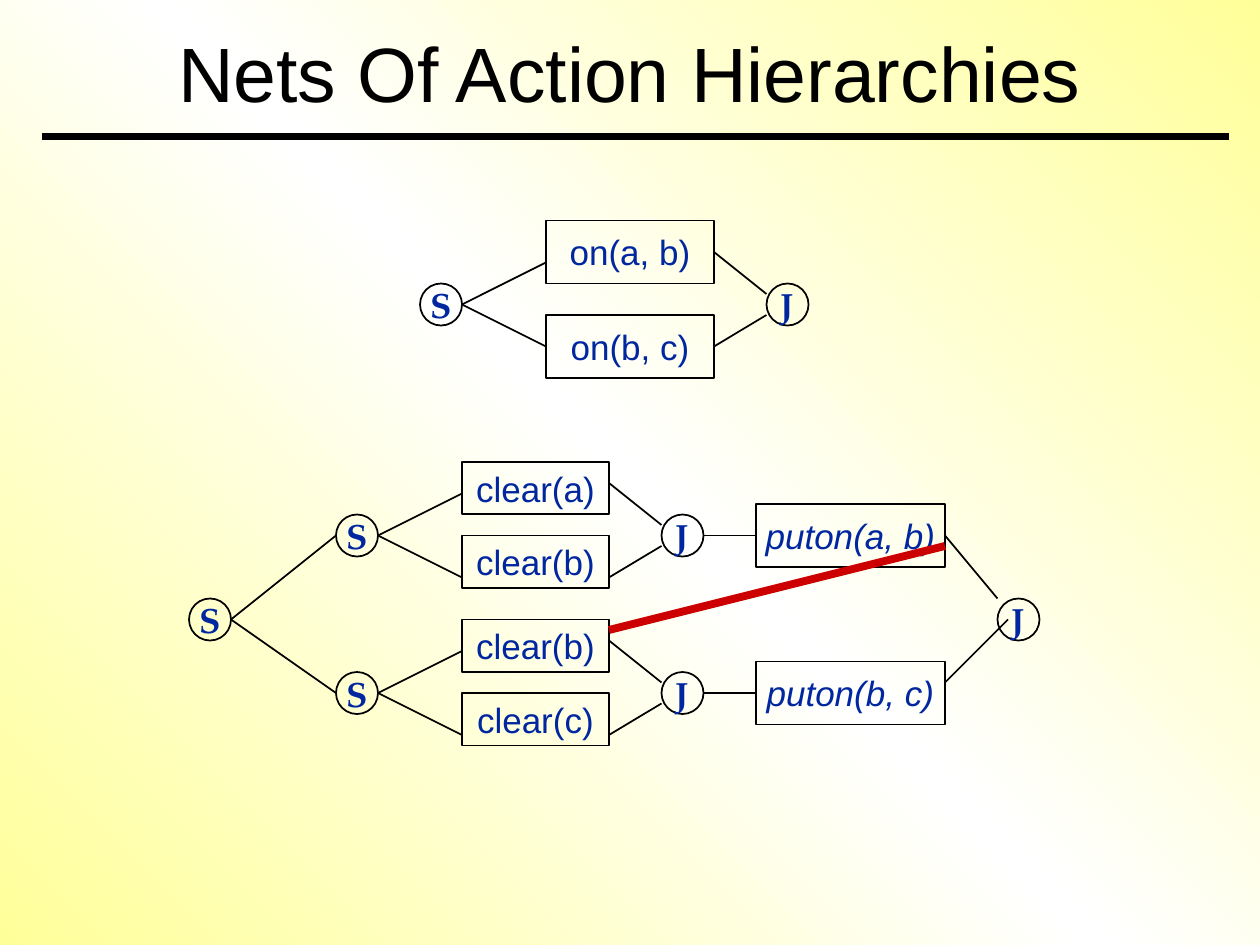
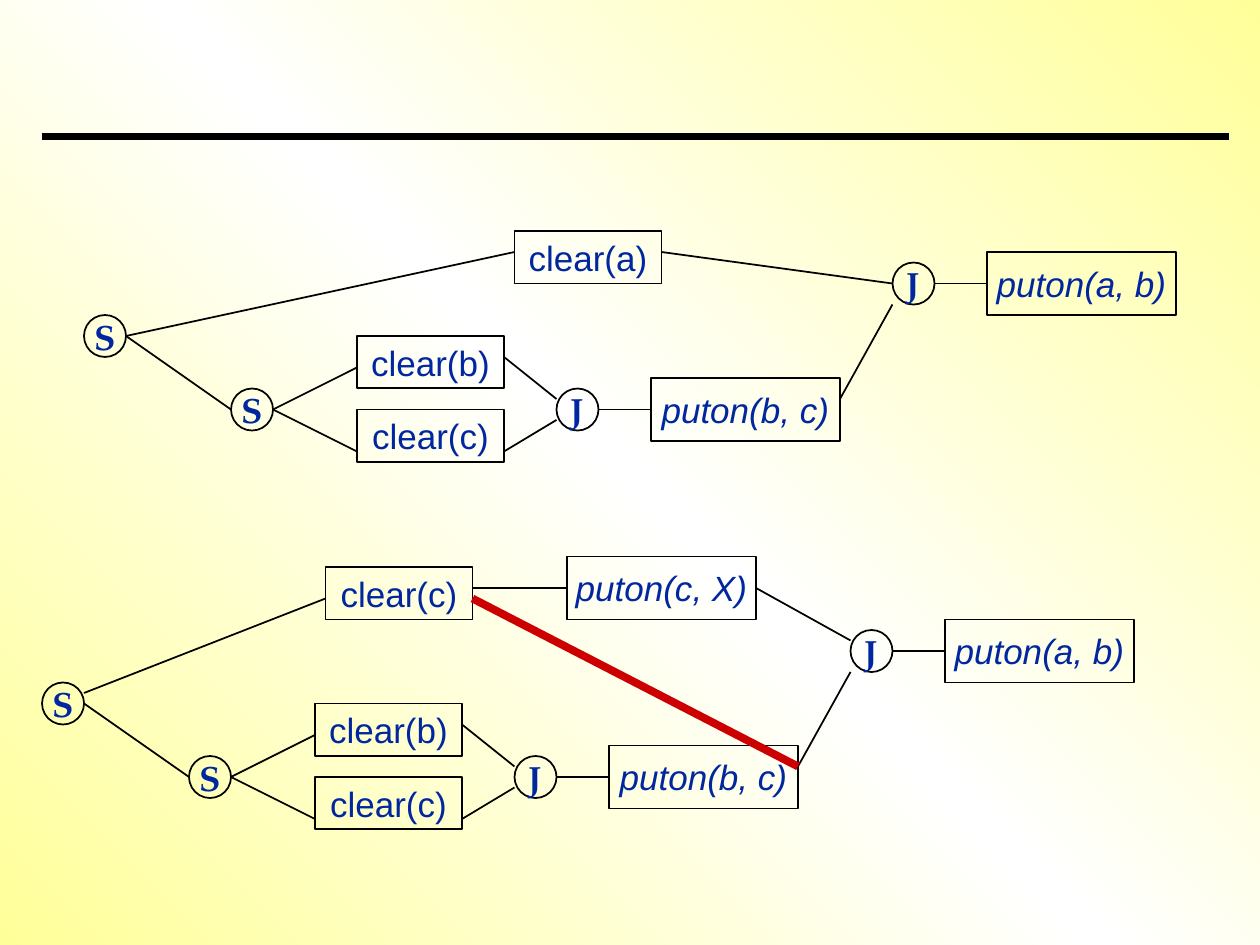
"""Build two slides showing nets of action hierarchies as split and join graphs."""
from copy import deepcopy

from lxml import etree
from pptx import Presentation
from pptx import util as u
from pptx.dml.color import RGBColor
from pptx.enum import shapes, text
from pptx.oxml.ns import qn


class Theme:
    ink = RGBColor.from_string("000000")
    label = RGBColor.from_string("00279F")
    conflict = RGBColor.from_string("CC0000")
    backdrop = ("FFFF99", "FFFFFF", "FFFF99")
    sans = "Arial"
    serif = "TeX Gyre Pagella"
    title_size = 44
    label_size = 20
    thin = 1
    thick = 4.5
    grid = 6


OVAL, RECT = shapes.MSO_SHAPE.OVAL, shapes.MSO_SHAPE.RECTANGLE
STEP_STYLES = {
    "S": (OVAL, 4, 4, dict(font=Theme.serif, bold=True)),
    "J": (OVAL, 4, 4, dict(font=Theme.serif, bold=True)),
    "on": (RECT, 16, 6, {}),
    "clear": (RECT, 14, 5, {}),
    "puton": (RECT, 18, 6, dict(italic=True)),
}

PLANS = [
    dict(
        title="Nets Of Action Hierarchies",
        steps=[("on(a, b)", 52, 21), ("on(b, c)", 52, 30), ("S", 40, 27), ("J", 73, 27),
               ("S", 18, 57), ("J", 95, 57)],
        links=[(44, 29, 52, 25), (44, 29, 52, 33), (68, 24, 73, 28), (68, 33, 73, 30),
               (22, 59, 32, 51), (22, 59, 32, 66), (90, 51, 95, 57), (90, 65, 96, 59)],
        branches=[(32, 49, "clear(a)", "clear(b)", "puton(a, b)"),
                  (32, 64, "clear(b)", "clear(c)", "puton(b, c)")],
        conflict=(90, 52, 58, 60),
    ),
    dict(
        title=None,
        steps=[("puton(a, b)", 94, 24), ("S", 8, 30), ("clear(a)", 49, 22), ("J", 85, 25),
               ("puton(a, b)", 90, 59), ("S", 4, 65), ("J", 81, 60),
               ("puton(c, X)", 54, 53), ("clear(c)", 31, 54)],
        links=[(12, 32, 49, 24), (12, 32, 22, 39), (63, 24, 85, 27), (89, 27, 94, 27),
               (80, 38, 85, 29), (8, 67, 18, 74), (85, 62, 90, 62), (8, 66, 31, 57),
               (45, 56, 54, 56), (72, 56, 81, 61), (76, 73, 81, 64)],
        branches=[(22, 37, "clear(b)", "clear(c)", "puton(b, c)"),
                  (18, 72, "clear(b)", "clear(c)", "puton(b, c)")],
        conflict=(76, 73, 45, 57),
    ),
]
BRANCH_LINKS = [(4, 2, 12, -2), (4, 2, 12, 6), (26, -3, 31, 1), (26, 6, 31, 3), (35, 2, 40, 2)]


def write(holder, words, font=Theme.sans, size=Theme.label_size, color=Theme.label,
          bold=False, italic=False, wrap=False):
    frame = holder.text_frame
    frame.word_wrap = wrap
    frame.vertical_anchor = text.MSO_ANCHOR.MIDDLE
    line = frame.paragraphs[0]
    line.alignment = text.PP_ALIGN.CENTER
    run = line.add_run()
    run.text = words
    run.font.name, run.font.size = font, u.Pt(size)
    run.font.bold, run.font.italic = bold, italic
    run.font.color.rgb = color


def link(slide, ends, ports, color=Theme.ink, width=Theme.thin):
    edge = slide.shapes.add_connector(
        shapes.MSO_CONNECTOR.STRAIGHT, *(u.Pt(end * Theme.grid) for end in ends))
    edge.line.color.rgb = color
    edge.line.width = u.Pt(width)
    etree.SubElement(edge._element.spPr, qn("a:effectLst"))
    if ends[:2] in ports:
        edge.begin_connect(*ports[ends[:2]])
    if ends[2:] in ports:
        edge.end_connect(*ports[ends[2:]])


deck = Presentation()
deck.slide_width, deck.slide_height = u.Pt(720), u.Pt(540)

backdrop = deck.slide_master.background.fill
backdrop.gradient()
backdrop.gradient_angle = 45
first_stop = backdrop.gradient_stops[0]._gs
first_stop.addnext(deepcopy(first_stop))
for stop, position, tint in zip(backdrop.gradient_stops, (0, 0.5, 1), Theme.backdrop):
    stop.color.rgb = RGBColor.from_string(tint)
    stop.position = position

for plan in PLANS:
    slide = deck.slides.add_slide(deck.slide_layouts[6])
    link(slide, (4, 13, 117, 13), {}, width=Theme.thick)
    if plan["title"]:
        heading = slide.shapes.add_textbox(u.Pt(36), u.Pt(12), u.Pt(648), u.Pt(58))
        write(heading, plan["title"], size=Theme.title_size, color=Theme.ink, wrap=True)

    steps, links = list(plan["steps"]), list(plan["links"])
    for x, y, upper, lower, action in plan["branches"]:
        steps += [("S", x, y), (upper, x + 12, y - 5), (lower, x + 12, y + 2),
                  ("J", x + 31, y), (action, x + 40, y - 1)]
        links += [(x + x1, y + y1, x + x2, y + y2) for x1, y1, x2, y2 in BRANCH_LINKS]

    ports = {}
    for label, left, top in steps:
        outline, width, height, style = STEP_STYLES[label.split("(")[0]]
        step = slide.shapes.add_shape(
            outline, *(u.Pt(length * Theme.grid) for length in (left, top, width, height)))
        step.shadow.inherit = False
        step.fill.background()
        step.line.color.rgb = Theme.ink
        step.line.width = u.Pt(Theme.thin)
        write(step, label, **style)
        if outline == RECT:
            ports[left, top + height / 2] = (step, 1)
            ports[left + width, top + height / 2] = (step, 3)

    for ends in links:
        link(slide, ends, ports)
    link(slide, plan["conflict"], ports, color=Theme.conflict, width=Theme.thick)

deck.save("out.pptx")
